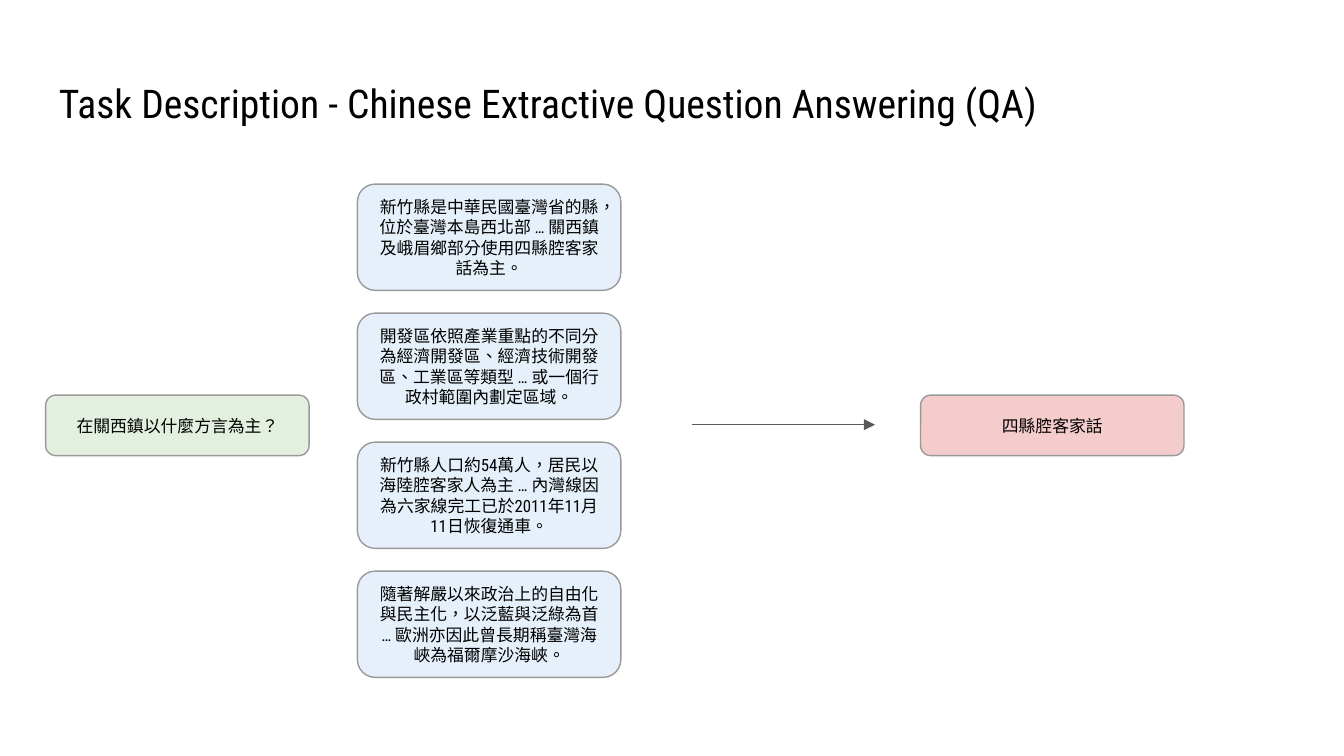
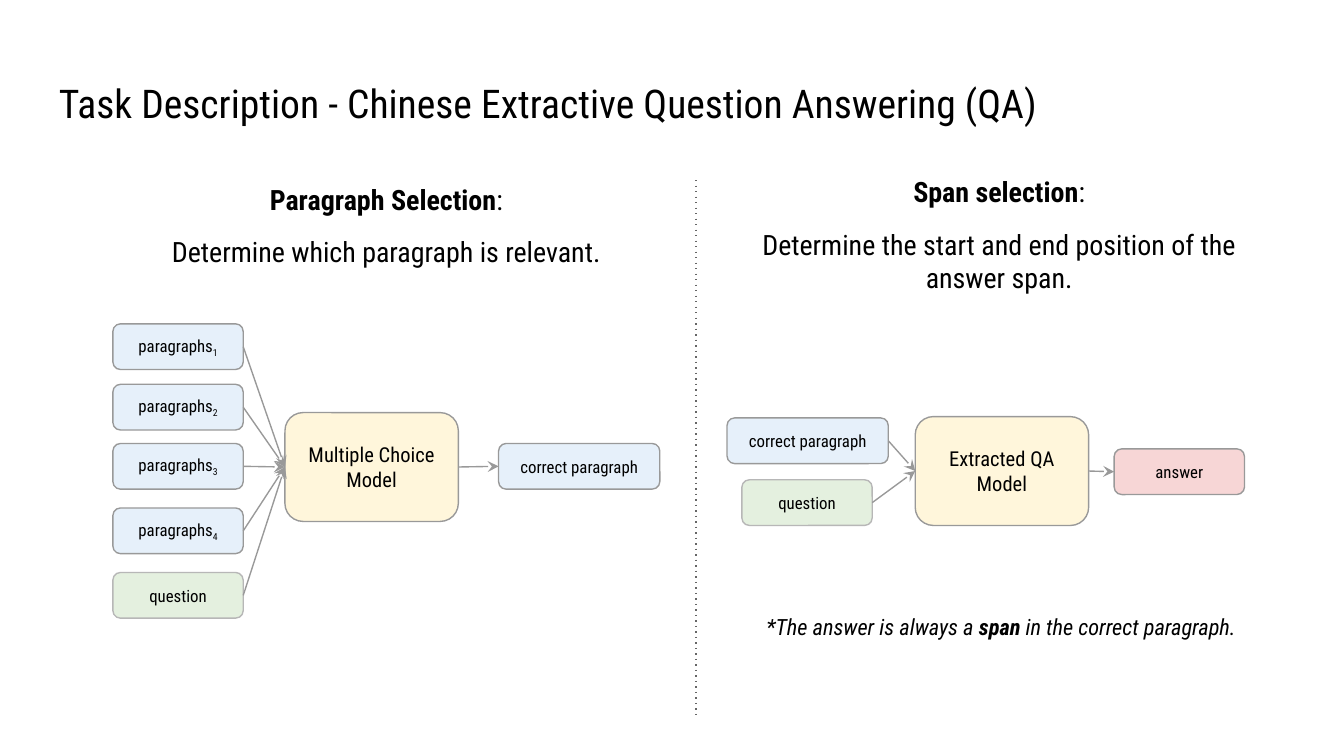
"""Build two slides that describe Chinese extractive question answering."""
from typing import NamedTuple, Optional

from lxml import etree
from pptx import Presentation
from pptx.dml.color import RGBColor
from pptx.enum.shapes import MSO_CONNECTOR, MSO_SHAPE
from pptx.enum.text import MSO_ANCHOR, PP_ALIGN
from pptx.oxml.ns import qn
from pptx.shapes.autoshape import Shape
from pptx.shapes.connector import Connector
from pptx.slide import Slide
from pptx.util import Inches, Pt

ROUNDED = MSO_SHAPE.ROUNDED_RECTANGLE
STRAIGHT = MSO_CONNECTOR.STRAIGHT
CENTER, LEFT = PP_ALIGN.CENTER, PP_ALIGN.LEFT
MIDDLE, TOP = MSO_ANCHOR.MIDDLE, MSO_ANCHOR.TOP
LEFT_SITE, RIGHT_SITE = 1, 3

BLACK = RGBColor(0x00, 0x00, 0x00)
BLUE = RGBColor(0xE6, 0xF0, 0xFA)
GREEN = RGBColor(0xE4, 0xF0, 0xDF)
YELLOW = RGBColor(0xFF, 0xF6, 0xDB)
RED = RGBColor(0xF4, 0xCC, 0xCC)
PINK = RGBColor(0xF7, 0xD6, 0xD6)
GRAY = RGBColor(0x99, 0x99, 0x99)
LIGHT_GRAY = RGBColor(0xB7, 0xB7, 0xB7)
ARROW_GRAY = RGBColor(0x59, 0x59, 0x59)
DIVIDER_GRAY = RGBColor(0x66, 0x66, 0x66)

FONT = "Roboto Condensed"
LANGUAGE = "zh-TW"
TITLE = "Task Description - Chinese Extractive Question Answering (QA)"
SLIDE_WIDTH = Inches(10)
SLIDE_HEIGHT = SLIDE_WIDTH * 9 // 16
LINE_WIDTH = Pt(0.75)
PASSAGES = (
    "新竹縣是中華民國臺灣省的縣，位於臺灣本島西北部 … 關西鎮及峨眉鄉部分使用四縣腔客家話為主。",
    "開發區依照產業重點的不同分為經濟開發區、經濟技術開發區、工業區等類型 … 或一個行政村範圍內劃定區域。",
    "新竹縣人口約54萬人，居民以海陸腔客家人為主 … 內灣線因為六家線完工已於2011年11月11日恢復通車。",
    "隨著解嚴以來政治上的自由化與民主化，以泛藍與泛綠為首 … 歐洲亦因此曾長期稱臺灣海峽為福爾摩沙海峽。",
)
PARAGRAPH_TOPS = (2.41, 2.86, 3.3, 3.78)


class Span(NamedTuple):
    """A stretch of text with one format."""

    text: str
    bold: bool = False
    subscript: bool = False


class Line(NamedTuple):
    """A paragraph with its spacing in points."""

    spans: tuple[Span, ...]
    before: float = 0
    after: float = 0
    spacing: Optional[float] = None


class BoxStyle(NamedTuple):
    """Size, colours and text size of a kind of box."""

    width: float
    height: float
    fill: RGBColor
    outline: RGBColor = GRAY
    size: float = 9


PASSAGE_BOX = BoxStyle(1.96, 0.79, BLUE)
QUERY_BOX = BoxStyle(1.96, 0.45, GREEN)
REPLY_BOX = BoxStyle(1.96, 0.45, RED)
PARAGRAPH_BOX = BoxStyle(0.97, 0.34, BLUE)
QUESTION_BOX = BoxStyle(0.97, 0.34, GREEN, LIGHT_GRAY)
CORRECT_BOX = BoxStyle(1.2, 0.34, BLUE)
ANSWER_BOX = BoxStyle(0.97, 0.34, PINK)
MODEL_BOX = BoxStyle(1.29, 0.81, YELLOW, size=11)


def plain(*texts: str) -> tuple[Line, ...]:
    """Make one plain paragraph of each text."""
    return tuple(Line((Span(text),)) for text in texts)


def write_text(shape: Shape, lines: tuple[Line, ...], *, size: float,
               italic: bool = False, align: PP_ALIGN = CENTER,
               anchor: MSO_ANCHOR = MIDDLE) -> None:
    """Fill a shape with formatted paragraphs."""
    frame = shape.text_frame
    frame.word_wrap = True
    frame.vertical_anchor = anchor
    frame.margin_left = frame.margin_right = Inches(0.1)
    frame.margin_top = frame.margin_bottom = Inches(0.1)
    for index, line in enumerate(lines):
        paragraph = frame.add_paragraph() if index else frame.paragraphs[0]
        paragraph.alignment = align
        paragraph.space_before = Pt(line.before)
        paragraph.space_after = Pt(line.after)
        paragraph.line_spacing = line.spacing
        for span in line.spans:
            run = paragraph.add_run()
            run.text = span.text
            run.font.name = FONT
            run.font.size = Pt(size)
            run.font.color.rgb = BLACK
            run.font.bold = span.bold
            run.font.italic = italic
            properties = run.font._element
            properties.set("lang", LANGUAGE)
            etree.SubElement(properties, qn("a:ea"), typeface=FONT)
            if span.subscript:
                properties.set("baseline", "-25000")


def add_text(slide: Slide, left: float, top: float, width: float, height: float,
             lines: tuple[Line, ...], *, size: float, italic: bool = False,
             align: PP_ALIGN = CENTER, anchor: MSO_ANCHOR = MIDDLE) -> None:
    """Add a text box."""
    box = slide.shapes.add_textbox(
        Inches(left), Inches(top), Inches(width), Inches(height))
    write_text(box, lines, size=size, italic=italic, align=align, anchor=anchor)


def add_box(slide: Slide, left: float, top: float, style: BoxStyle,
            lines: tuple[Line, ...]) -> Shape:
    """Add a rounded box with centred text."""
    box = slide.shapes.add_shape(
        ROUNDED, Inches(left), Inches(top), Inches(style.width), Inches(style.height))
    box.shadow.inherit = False
    box.fill.solid()
    box.fill.fore_color.rgb = style.fill
    box.line.color.rgb = style.outline
    box.line.width = LINE_WIDTH
    write_text(box, lines, size=style.size)
    return box


def add_line(slide: Slide, start: tuple[float, float], end: tuple[float, float],
             color: RGBColor, *, dash: str = "", arrow: str = "") -> Connector:
    """Add a straight line with an optional dash and arrowhead."""
    line = slide.shapes.add_connector(STRAIGHT, *map(Inches, start + end))
    line.line.color.rgb = color
    line.line.width = LINE_WIDTH
    outline = line.line._get_or_add_ln()
    if dash:
        etree.SubElement(outline, qn("a:prstDash"), val=dash)
    if arrow:
        etree.SubElement(outline, qn("a:tailEnd"), type=arrow)
    etree.SubElement(line._element.spPr, qn("a:effectLst"))
    return line


def join(slide: Slide, source: Shape, target: Shape) -> None:
    """Draw an arrow from the right side of one box to the left side of another."""
    arrow = add_line(slide, (0, 0), (1, 1), GRAY, arrow="stealth")
    arrow.begin_connect(source, RIGHT_SITE)
    arrow.end_connect(target, LEFT_SITE)


def add_heading(slide: Slide, left: float, top: float, name: str, task: str) -> None:
    """Add the name of a step and its task."""
    lines = (Line((Span(name, bold=True), Span(":"))),
             Line((Span(task),), before=10, after=10))
    add_text(slide, left, top, 4.07, 0.45, lines, size=15)


def add_titled_slide(presentation: Presentation) -> Slide:
    """Add a blank slide with the shared title."""
    slide = presentation.slides.add_slide(presentation.slide_layouts[6])
    add_text(slide, 0.34, 0.49, 9.32, 0.63, plain(TITLE),
             size=21.2, align=LEFT, anchor=TOP)
    return slide


def build_example(presentation: Presentation) -> None:
    """Show a question, its passages and the answer."""
    slide = add_titled_slide(presentation)
    for index, passage in enumerate(PASSAGES):
        add_box(slide, 2.66, 1.37 + 0.96 * index, PASSAGE_BOX, plain(passage))
    add_box(slide, 0.34, 2.94, QUERY_BOX, plain("在關西鎮以什麼方言為主？"))
    add_line(slide, (5.15, 3.16), (6.51, 3.16), ARROW_GRAY, arrow="triangle")
    add_box(slide, 6.85, 2.94, REPLY_BOX, plain("四縣腔客家話"))


def build_steps(presentation: Presentation) -> None:
    """Show paragraph selection beside span selection."""
    slide = add_titled_slide(presentation)

    choice_model = add_box(slide, 2.12, 3.07, MODEL_BOX, plain("Multiple Choice Model"))
    choice_inputs = [
        add_box(slide, 0.84, top, PARAGRAPH_BOX,
                (Line((Span("paragraphs"), Span(str(number), subscript=True))),))
        for number, top in enumerate(PARAGRAPH_TOPS, start=1)
    ]
    choice_inputs.append(add_box(slide, 0.84, 4.26, QUESTION_BOX, plain("question")))
    chosen = add_box(slide, 3.71, 3.3, CORRECT_BOX, plain("correct paragraph"))

    span_inputs = (
        add_box(slide, 5.41, 3.11, CORRECT_BOX, plain("correct paragraph")),
        add_box(slide, 5.52, 3.57, QUESTION_BOX, plain("question")),
    )
    span_model = add_box(slide, 6.81, 3.1, MODEL_BOX, plain("Extracted QA", "Model"))
    answer = add_box(slide, 8.29, 3.34, ANSWER_BOX, plain("answer"))

    for inputs, model, output in ((choice_inputs, choice_model, chosen),
                                  (span_inputs, span_model, answer)):
        for source in inputs:
            join(slide, source, model)
        join(slide, model, output)

    add_line(slide, (5.18, 1.34), (5.18, 5.32), DIVIDER_GRAY, dash="dot")
    note = (Span("*The answer is always a "), Span("span", bold=True),
            Span(" in the correct paragraph."))
    add_text(slide, 5.58, 4.42, 3.74, 0.45, (Line(note, after=10, spacing=1.15),),
             size=12, italic=True)
    add_heading(slide, 0.84, 1.45, "Paragraph Selection",
                "Determine which paragraph is relevant.")
    add_heading(slide, 5.4, 1.52, "Span selection",
                "Determine the start and end position of the answer span.")


def main() -> None:
    """Build and save the presentation."""
    presentation = Presentation()
    presentation.slide_width = SLIDE_WIDTH
    presentation.slide_height = SLIDE_HEIGHT
    build_example(presentation)
    build_steps(presentation)
    presentation.save("out.pptx")


if __name__ == "__main__":
    main()
